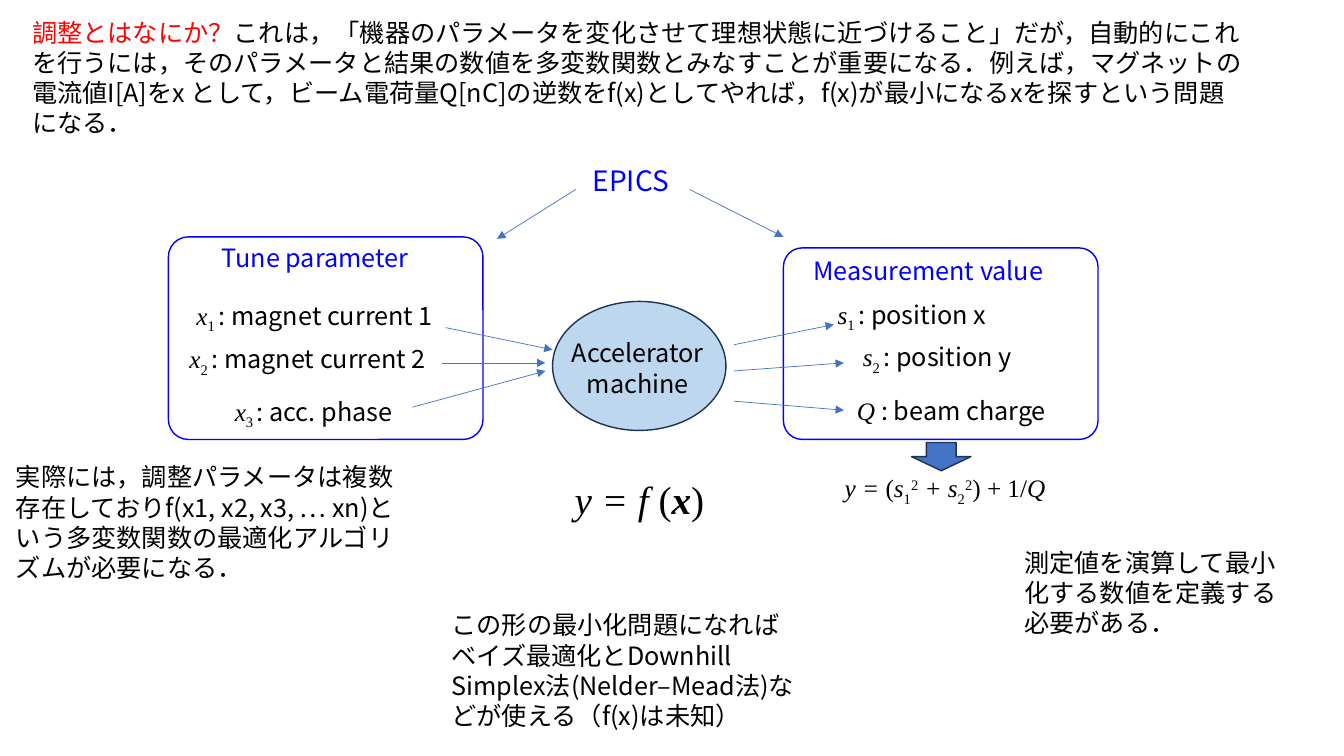
from dataclasses import dataclass

from lxml import etree
from pptx import Presentation
from pptx.dml.color import RGBColor
from pptx.enum.shapes import MSO_CONNECTOR as CONN, MSO_SHAPE as SHAPE
from pptx.enum.text import MSO_AUTO_SIZE as FIT, PP_ALIGN as ALIGN
from pptx.oxml.ns import qn
from pptx.util import Inches, Pt


@dataclass(frozen=True)
class Theme:
    sans: str = "Noto Sans CJK JP"
    serif: str = "Times New Roman"
    black: str = "000000"
    blue: str = "0000FF"
    red: str = "FF0000"
    arrow: str = "4472C4"
    outline: str = "1E3256"
    machine: str = "BDD7EE"
    body: int = 18
    epics: int = 20
    formula: int = 28


T = Theme()

# Run styles: font, italic, bold, baseline shift in percent
STYLES = {
    "sans": (T.sans, False, False, 0),
    "math": (T.serif, False, False, 0),
    "var": (T.serif, True, False, 0),
    "vector": (T.serif, True, True, 0),
    "sub": (T.serif, False, False, -25),
    "sup": (T.serif, False, False, 30),
}


def rgb(color):
    return RGBColor.from_string(color)


def add_run(p, text, style="sans", color=None):
    name, italic, bold, shift = STYLES[style]
    r = p.add_run()
    r.text = text
    r.font.name, r.font.italic, r.font.bold = name, italic, bold
    if color:
        r.font.color.rgb = rgb(color)
    r_pr = r.font._element
    if shift:
        r_pr.set("baseline", str(shift * 1000))
    etree.SubElement(r_pr, qn("a:ea")).set("typeface", name)


def add_text(slide, box, runs, size=T.body, color=T.black, align=ALIGN.LEFT):
    """Text box holding one paragraph; runs is a string or a list of run arguments."""
    sp = slide.shapes.add_textbox(*map(Inches, box))
    tf = sp.text_frame
    tf.word_wrap = True
    tf.auto_size = FIT.SHAPE_TO_FIT_TEXT
    p = tf.paragraphs[0]
    p.alignment = align
    p.font.size = Pt(size)
    p.font.color.rgb = rgb(color)
    for run in [(runs,)] if isinstance(runs, str) else runs:
        add_run(p, *run)


def add_quantity(slide, box, symbol, index, meaning):
    """Symbol with an optional index, then its meaning."""
    runs = [(symbol, "var"), (f"{index} ", "sub")] if index else [(f"{symbol} ", "var")]
    add_text(slide, box, runs + [(f": {meaning}",)])


def add_shape(slide, kind, box, line, fill=None, corner=None):
    sp = slide.shapes.add_shape(kind, *map(Inches, box))
    sp.shadow.inherit = False
    if fill:
        sp.fill.solid()
        sp.fill.fore_color.rgb = rgb(fill)
    else:
        sp.fill.background()
    sp.line.color.rgb = rgb(line)
    sp.line.width = Pt(1)
    if corner is not None:
        sp.adjustments[0] = corner


def add_arrow(slide, start, end):
    cx = slide.shapes.add_connector(CONN.STRAIGHT, *map(Inches, start + end))
    cx.line.color.rgb = rgb(T.arrow)
    cx.line.width = Pt(0.5)
    etree.SubElement(cx.line._get_or_add_ln(), qn("a:tailEnd")).set("type", "triangle")
    etree.SubElement(cx._element.spPr, qn("a:effectLst"))


def add_group_box(slide, box, heading_box, heading):
    add_shape(slide, SHAPE.ROUNDED_RECTANGLE, box, T.blue, corner=0.098)
    add_text(slide, heading_box, heading, color=T.blue)


def main():
    prs = Presentation()
    prs.slide_width, prs.slide_height = Inches(13.33), Inches(7.5)
    slide = prs.slides.add_slide(prs.slide_layouts[6])

    # Accelerator in the middle
    add_shape(slide, SHAPE.OVAL, (5.48, 2.99, 1.72, 1.28), T.outline, T.machine)
    add_text(slide, (5.38, 3.3, 1.89, 0.71), "Accelerator machine", align=ALIGN.CENTER)

    # Input and output groups
    add_group_box(slide, (1.67, 2.35, 3.12, 2.01), (2.1, 2.36, 2.42, 0.4),
                  "Tune parameter")
    add_group_box(slide, (7.77, 2.46, 3.12, 1.9), (7.97, 2.48, 2.73, 0.4),
                  "Measurement value")
    for quantity in [
        ((1.85, 2.93, 2.81, 0.4), "x", "1", "magnet current 1"),
        ((1.78, 3.36, 2.88, 0.4), "x", "2", "magnet current 2"),
        ((2.23, 3.88, 2.15, 0.4), "x", "3", "acc. phase"),
        ((8.21, 2.92, 2.62, 0.4), "s", "1", "position x"),
        ((8.46, 3.34, 2.12, 0.4), "s", "2", "position y"),
        ((8.4, 3.87, 2.12, 0.4), "Q", "", "beam charge"),
    ]:
        add_quantity(slide, *quantity)

    # EPICS controls both groups
    add_text(slide, (5.78, 1.57, 1.25, 0.44), "EPICS", T.epics, T.blue)

    # Arrows: parameters to machine, machine to measurements, EPICS to groups
    for start, end in [
        ((4.42, 3.25), (5.48, 3.47)),
        ((4.38, 3.6), (5.41, 3.6)),
        ((4.09, 4.04), (5.41, 3.68)),
        ((7.28, 3.42), (8.27, 3.22)),
        ((7.28, 3.68), (8.37, 3.6)),
        ((7.28, 3.98), (8.37, 4.07)),
        ((5.71, 1.88), (4.93, 2.37)),
        ((6.84, 1.88), (7.77, 2.35)),
    ]:
        add_arrow(slide, start, end)

    # Formulas
    add_shape(slide, SHAPE.DOWN_ARROW, (9.04, 4.39, 0.59, 0.28), T.outline, T.arrow)
    add_text(slide, (8.28, 4.64, 2.47, 0.4), [
        ("y = ", "var"), ("(", "math"),
        ("s", "var"), ("1", "sub"), ("2", "sup"),
        (" + s", "var"), ("2", "sub"), ("2", "sup"),
        (") + 1/", "math"), ("Q", "var"),
    ])
    add_text(slide, (5.6, 4.67, 2.04, 0.57), [
        ("y = f ", "var"), ("(", "math"), ("x", "vector"), (")", "math"),
    ], T.formula)

    # Explanations
    add_text(slide, (0.22, 0.12, 12.21, 1.31), [
        ("調整とはなにか？", "sans", T.red),
        ("これは，「機器のパラメータを変化させて理想状態に近づけること」だが，"
         "自動的にこれを行うには，そのパラメータと結果の数値を多変数関数とみなすことが"
         "重要になる．例えば，マグネットの電流値I[A]をx として，ビーム電荷量Q[nC]の逆数を"
         "f(x)としてやれば，f(x)が最小になるxを探すという問題になる．",),
    ])
    add_text(slide, (0.06, 4.53, 4.07, 1.31),
             "実際には，調整パラメータは複数存在しておりf(x1, x2, x3, … xn)という"
             "多変数関数の最適化アルゴリズムが必要になる．")
    add_text(slide, (4.38, 6, 3.62, 1.31),
             "この形の最小化問題になればベイズ最適化とDownhill Simplex法"
             "(Nelder–Mead法)などが使える（f(x)は未知）")
    add_text(slide, (10.06, 5.38, 2.83, 1.01),
             "測定値を演算して最小化する数値を定義する必要がある．")

    prs.save("out.pptx")


if __name__ == "__main__":
    main()
